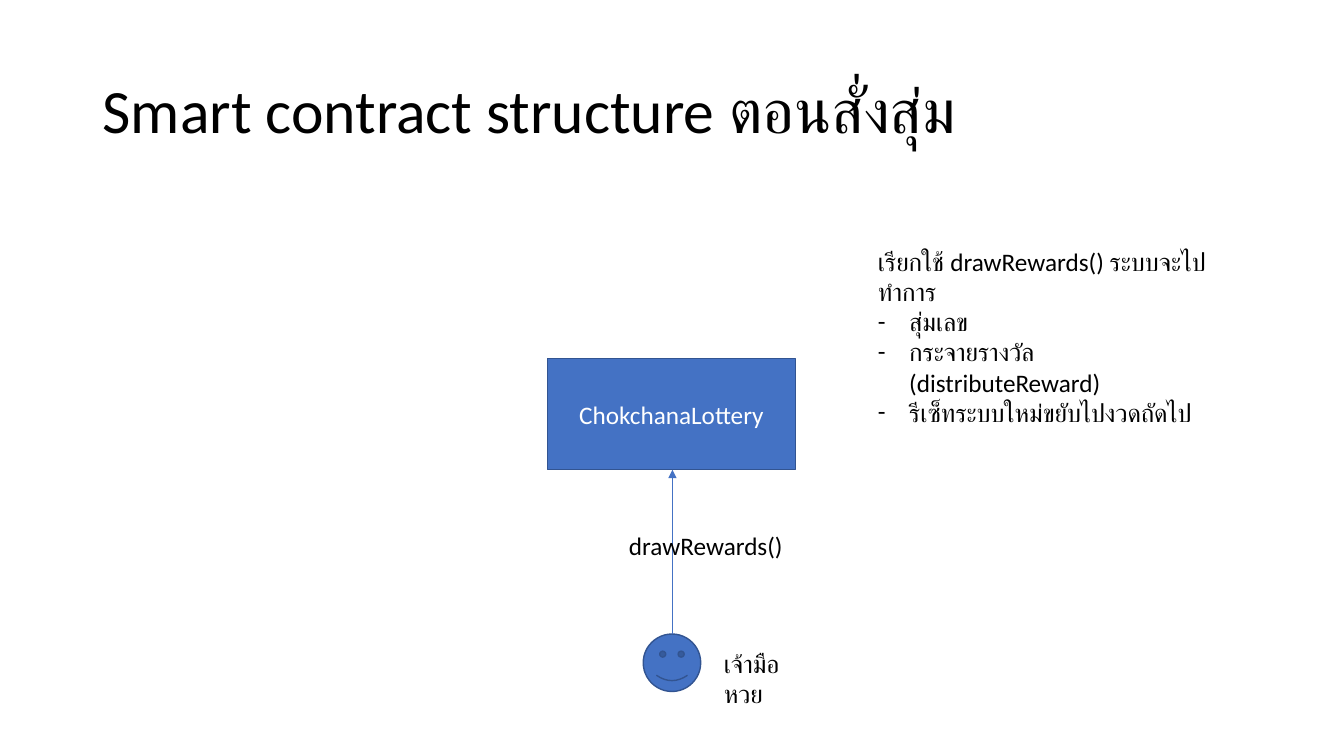
from pptx import Presentation
from pptx.dml.color import RGBColor
from pptx.enum.shapes import MSO_CONNECTOR, MSO_SHAPE
from pptx.enum.text import MSO_ANCHOR, MSO_AUTO_SIZE, PP_ALIGN
from pptx.oxml.ns import qn
from pptx.util import Inches, Pt
from lxml.etree import SubElement

BLUE, DARK_BLUE, BLACK, WHITE = "4472C4", "325491", "000000", "FFFFFF"
INDENT = Inches(0.31)


def paint(color_format, color):
    color_format.rgb = RGBColor.from_string(color)


def add_run(p, text, size=18, color=BLACK):
    r = p.add_run()
    r.text = text
    r.font.name = "Calibri"
    r.font.size = Pt(size)
    paint(r.font.color, color)


def add_text(s, x, y, w, h, text, size=18):
    tf = s.shapes.add_textbox(*map(Inches, (x, y, w, h))).text_frame
    tf.word_wrap = True
    tf.auto_size = MSO_AUTO_SIZE.SHAPE_TO_FIT_TEXT
    add_run(tf.paragraphs[0], text, size)
    return tf


def add_dash_item(tf, text):
    p = tf.add_paragraph()
    pPr = p._p.get_or_add_pPr()
    pPr.set("marL", str(INDENT))
    pPr.set("indent", str(-INDENT))
    SubElement(pPr, qn("a:buFont"), typeface="Calibri")
    SubElement(pPr, qn("a:buChar"), char="-")
    add_run(p, text)


def add_blue_shape(s, kind, x, y, w, h):
    sp = s.shapes.add_shape(kind, *map(Inches, (x, y, w, h)))
    sp.shadow.inherit = False
    sp.fill.solid()
    paint(sp.fill.fore_color, BLUE)
    paint(sp.line.color, DARK_BLUE)
    sp.line.width = Pt(1)
    return sp


def add_arrow(s, x1, y1, x2, y2):
    cxn = s.shapes.add_connector(MSO_CONNECTOR.STRAIGHT, *map(Inches, (x1, y1, x2, y2)))
    paint(cxn.line.color, BLUE)
    cxn.line.width = Pt(0.5)
    SubElement(cxn.line._get_or_add_ln(), qn("a:tailEnd"), type="triangle")
    SubElement(cxn._element.spPr, qn("a:effectLst"))


def main():
    prs = Presentation()
    prs.slide_width, prs.slide_height = Inches(13.33), Inches(7.5)
    s = prs.slides.add_slide(prs.slide_layouts[6])

    # Title
    title = add_text(s, 0.92, 0.4, 11.5, 1.45, "Smart contract structure ตอนสั่งสุ่ม", 44)
    title.auto_size = MSO_AUTO_SIZE.NONE
    title.vertical_anchor = MSO_ANCHOR.MIDDLE
    title.paragraphs[0].line_spacing = 0.9

    # Contract
    contract = add_blue_shape(s, MSO_SHAPE.RECTANGLE, 5.43, 3.56, 2.46, 1.1)
    tf = contract.text_frame
    tf.vertical_anchor = MSO_ANCHOR.MIDDLE
    tf.paragraphs[0].alignment = PP_ALIGN.CENTER
    add_run(tf.paragraphs[0], "ChokchanaLottery", color=WHITE)

    # Lottery dealer and the call to the contract
    add_blue_shape(s, MSO_SHAPE.SMILEY_FACE, 6.38, 6.29, 0.57, 0.57)
    add_text(s, 7.08, 6.38, 0.95, 0.4, "เจ้ามือหวย")
    add_arrow(s, 6.67, 6.29, 6.67, 4.66)
    add_text(s, 6.14, 5.21, 1.74, 0.4, "drawRewards()")

    # Steps of the draw
    steps = add_text(s, 8.61, 2.39, 3.56, 1.31, "เรียกใช้ drawRewards() ระบบจะไปทำการ")
    for step in ("สุ่มเลข", "กระจายรางวัล (distributeReward)", "รีเซ็ทระบบใหม่ขยับไปงวดถัดไป"):
        add_dash_item(steps, step)

    prs.save("out.pptx")


main()
